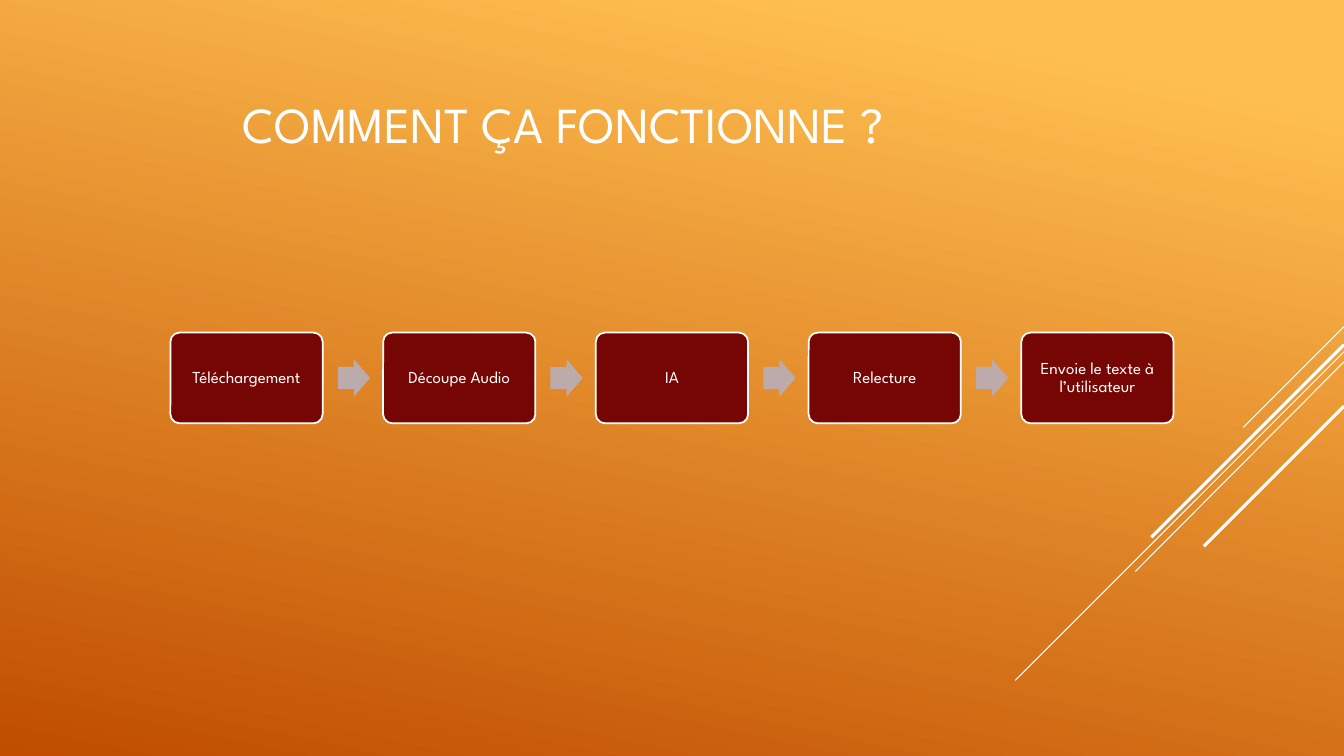
from pptx import Presentation
from pptx.dml.color import RGBColor
from pptx.enum.shapes import MSO_CONNECTOR, MSO_SHAPE
from pptx.enum.text import MSO_ANCHOR, MSO_AUTO_SIZE, PP_ALIGN
from pptx.oxml.ns import qn
from pptx.util import Inches, Pt
from lxml import etree

WHITE = RGBColor(0xFF, 0xFF, 0xFF)
MAROON = RGBColor(0x76, 0x06, 0x03)
GREY = RGBColor(0xBD, 0xAB, 0xAB)
AMBER = RGBColor(0xFF, 0xBF, 0x50)
RUST = RGBColor(0xC0, 0x4D, 0x00)
FONT = "League Spartan"

TITLE = "COMMENT ÇA FONCTIONNE ?"
STEPS = ["Téléchargement", "Découpe Audio", "IA", "Relecture",
         "Envoie le texte à l’utilisateur"]
RAYS = [
    ((13.33, 3.24), (12.33, 4.24), 0.75),
    ((13.33, 3.49), (10.07, 6.75), 0.75),
    ((13.33, 3.59), (11.26, 5.67), 0.75),
    ((13.33, 3.42), (11.42, 5.33), 2.25),
    ((13.33, 4.03), (11.94, 5.42), 2.25),
]

STEP_LEFT, STEP_PITCH = 1.69, 2.11
STEP_W, STEP_H = 1.51, 0.9
ARROW_W, ARROW_H, ARROW_GAP = 0.32, 0.37, 0.15
FLOW_MIDDLE = 3.75


def write(frame, text, size, align):
    frame.text = text
    frame.word_wrap = True
    frame.auto_size = MSO_AUTO_SIZE.NONE
    frame.vertical_anchor = MSO_ANCHOR.MIDDLE
    paragraph = frame.paragraphs[0]
    paragraph.alignment = align
    paragraph.line_spacing = 0.9
    font = paragraph.runs[0].font
    font.name, font.size = FONT, Pt(size)
    font.color.rgb = WHITE


def add_flow_shape(kind, left, width, height, color, adjustments):
    shape = slide.shapes.add_shape(
        kind, Inches(left), Inches(FLOW_MIDDLE - height / 2),
        Inches(width), Inches(height))
    shape.shadow.inherit = False
    shape.fill.solid()
    shape.fill.fore_color.rgb = color
    shape.line.fill.background()
    for index, value in enumerate(adjustments):
        shape.adjustments[index] = value
    return shape


prs = Presentation()
prs.slide_width, prs.slide_height = Inches(13.33), Inches(7.5)
slide = prs.slides.add_slide(prs.slide_layouts[5])

background = slide.background.fill
background.gradient()
background.gradient_angle = 258
for stop, color, position in zip(background.gradient_stops, (AMBER, RUST), (0.1, 1)):
    stop.color.rgb = color
    stop.position = position

for start, end, weight in RAYS:
    ray = slide.shapes.add_connector(
        MSO_CONNECTOR.STRAIGHT, *map(Inches, start + end))
    ray.line.color.rgb = WHITE
    ray.line.width = Pt(weight)
    etree.SubElement(ray._element.spPr, qn("a:effectLst"))

title = slide.shapes.title
title.left, title.top = Inches(2.31), Inches(0.44)
title.width, title.height = Inches(9.33), Inches(1.65)
write(title.text_frame, TITLE, 36, PP_ALIGN.LEFT)

for index, step in enumerate(STEPS):
    left = STEP_LEFT + index * STEP_PITCH
    box = add_flow_shape(MSO_SHAPE.ROUNDED_RECTANGLE, left, STEP_W, STEP_H,
                         MAROON, [0.1])
    box.line.color.rgb = WHITE
    box.line.width = Pt(1.25)
    frame = box.text_frame
    frame.margin_left = frame.margin_right = Inches(0.05)
    frame.margin_top = frame.margin_bottom = Inches(0.05)
    write(frame, step, 12, PP_ALIGN.CENTER)
    if index < len(STEPS) - 1:
        add_flow_shape(MSO_SHAPE.RIGHT_ARROW, left + STEP_W + ARROW_GAP,
                       ARROW_W, ARROW_H, GREY, [0.6, 0.5])

prs.save("out.pptx")
